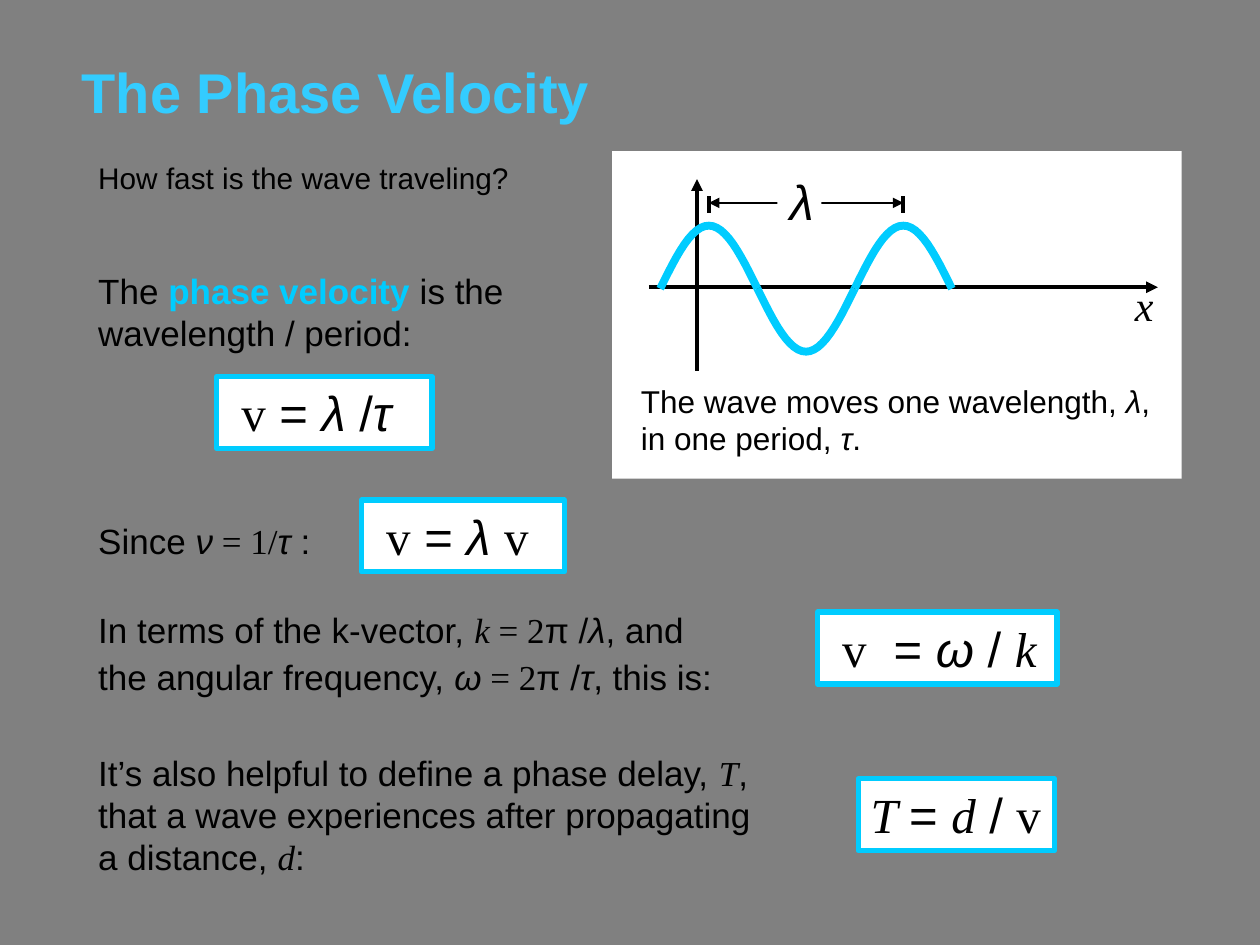
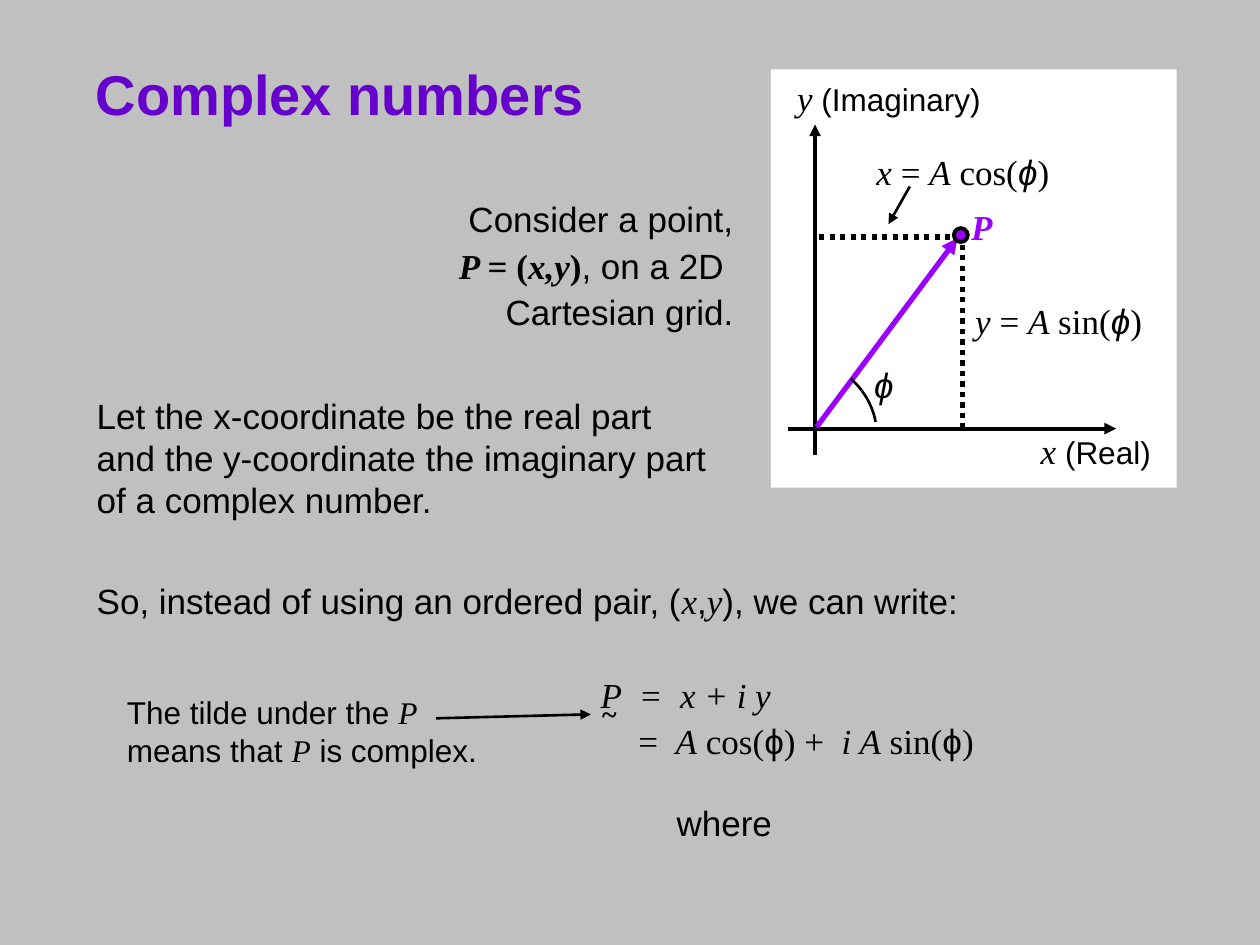
import math
from dataclasses import dataclass
from functools import partial
from typing import NamedTuple, Optional

import pptx
import pptx.dml.color
import pptx.enum.dml
import pptx.enum.shapes
import pptx.enum.text
import pptx.oxml
import pptx.oxml.ns
import pptx.util
from pptx.util import Cm

COLORS = {
    "dark gray": "808080",
    "light gray": "C0C0C0",
    "white": "FFFFFF",
    "black": "000000",
    "sky": "33CCFF",
    "cyan": "00CCFF",
    "indigo": "6600CC",
    "violet": "9900FF",
}
ARIAL = "Arial"
TIMES = "Times New Roman"
SHAPES = pptx.enum.shapes.MSO_SHAPE
ALIGN = pptx.enum.text.PP_ALIGN


class Box(NamedTuple):
    """A frame in centimetres."""
    left: float
    top: float
    width: float
    height: float

    def lengths(self) -> list:
        return [Cm(value) for value in self]


class Run(NamedTuple):
    text: str
    font: str = ARIAL
    bold: bool = False
    italic: bool = False
    color: str = "black"
    size: Optional[float] = None


slanted = partial(Run, italic=True)
serif = partial(Run, font=TIMES)
variable = partial(Run, font=TIMES, italic=True)


@dataclass
class Para:
    runs: list
    before: float = 0
    spacing: Optional[float] = None
    align: int = ALIGN.LEFT
    indent: float = 0


tight = partial(Para, before=5, spacing=0.9)


@dataclass
class Label:
    box: Box
    paragraphs: list
    size: float = 20
    wrap: bool = True
    middle: bool = False
    grow: bool = True


@dataclass
class Line:
    start: tuple
    end: tuple
    width: float = 2.25
    color: str = "black"
    head: bool = False
    tail: bool = False
    dotted: bool = False


def rgb(name: str) -> pptx.dml.color.RGBColor:
    return pptx.dml.color.RGBColor.from_string(COLORS[name])


def write(shape, label: Label) -> None:
    frame = shape.text_frame
    anchors = pptx.enum.text.MSO_ANCHOR
    sizes = pptx.enum.text.MSO_AUTO_SIZE
    frame.word_wrap = label.wrap
    frame.vertical_anchor = anchors.MIDDLE if label.middle else anchors.TOP
    frame.auto_size = sizes.SHAPE_TO_FIT_TEXT if label.grow else sizes.NONE
    for index, para in enumerate(label.paragraphs):
        paragraph = frame.add_paragraph() if index else frame.paragraphs[0]
        paragraph.alignment = para.align
        paragraph.space_before = pptx.util.Pt(para.before)
        paragraph.line_spacing = para.spacing
        if para.indent:
            paragraph._p.get_or_add_pPr().set("marL", str(Cm(para.indent)))
        for part in para.runs:
            for number, piece in enumerate(part.text.split("\n")):
                if number:
                    paragraph.add_line_break()
                if not piece:
                    continue
                run = paragraph.add_run()
                run.text = piece
                run.font.name = part.font
                run.font.size = pptx.util.Pt(part.size or label.size)
                run.font.bold = part.bold
                run.font.italic = part.italic
                run.font.color.rgb = rgb(part.color)


def add_label(slide, label: Label) -> None:
    write(slide.shapes.add_textbox(*label.box.lengths()), label)


def add_block(slide, box: Box, fill: Optional[str] = "white", line: Optional[str] = None,
              width: float = 3, kind=SHAPES.RECTANGLE):
    shape = slide.shapes.add_shape(kind, *box.lengths())
    shape.shadow.inherit = False
    if fill:
        shape.fill.solid()
        shape.fill.fore_color.rgb = rgb(fill)
    else:
        shape.fill.background()
    if line:
        shape.line.color.rgb = rgb(line)
        shape.line.width = pptx.util.Pt(width)
    else:
        shape.line.fill.background()
    return shape


def add_formula(slide, label: Label) -> None:
    write(add_block(slide, label.box, line="cyan"), label)


def add_line(slide, line: Line) -> None:
    points = [Cm(value) for value in (*line.start, *line.end)]
    connector = slide.shapes.add_connector(
        pptx.enum.shapes.MSO_CONNECTOR.STRAIGHT, *points)
    connector.line.color.rgb = rgb(line.color)
    connector.line.width = pptx.util.Pt(line.width)
    if line.dotted:
        connector.line.dash_style = pptx.enum.dml.MSO_LINE.ROUND_DOT
    properties = connector._element.spPr
    outline = properties.find(pptx.oxml.ns.qn("a:ln"))
    for tag, wanted in (("headEnd", line.head), ("tailEnd", line.tail)):
        if wanted:
            outline.append(pptx.oxml.parse_xml(
                f'<a:{tag} {pptx.oxml.ns.nsdecls("a")} type="triangle"/>'))
    properties.append(pptx.oxml.parse_xml(
        f'<a:effectLst {pptx.oxml.ns.nsdecls("a")}/>'))


def add_half_wave(slide, left: float, middle: float, width: float, height: float) -> None:
    """Draw half a sine period; a negative height gives a trough."""
    steps = 24
    points = [(Cm(left + width * step / steps),
               Cm(middle - height * math.sin(math.pi * step / steps)))
              for step in range(steps + 1)]
    builder = slide.shapes.build_freeform(*points[0])
    builder.add_line_segments(points[1:], close=False)
    curve = builder.convert_to_shape()
    curve.shadow.inherit = False
    curve.fill.background()
    curve.line.color.rgb = rgb("cyan")
    curve.line.width = pptx.util.Pt(4.5)


def new_slide(presentation, background: str, title: str, box: Box, color: str):
    slide = presentation.slides.add_slide(presentation.slide_layouts[6])
    slide.background.fill.solid()
    slide.background.fill.fore_color.rgb = rgb(background)
    add_label(slide, Label(box, [Para([Run(title, bold=True, color=color)])],
                           size=32, middle=True, grow=False))
    return slide


def build_phase_velocity(presentation) -> None:
    slide = new_slide(presentation, "dark gray", "The Phase Velocity",
                      Box(1.4, 0.56, 13.54, 2.54), "sky")
    left = 1.73
    add_label(slide, Label(Box(left, 3.1, 9.47, 1.65), [
        Para([Run("How fast is the wave traveling?")], 5)], size=17, grow=False))
    add_label(slide, Label(Box(left, 5.31, 9.04, 1.96), [
        Para([Run("The"), Run(" phase velocity", bold=True, color="cyan"),
              Run(" is the \nwavelength / period:")], 5)]))

    formulas = [
        (7.29, 10.08, 4.09, [serif(" v"), Run(" = "), slanted("λ "), serif("v")]),
        (16.48, 12.34, 4.83, [serif(" v"), Run("  = "), slanted("ω"), Run(" / "),
                              variable("k")]),
        (17.3, 15.7, 3.96, [variable("T "), Run("= "), variable("d"), Run(" / "),
                            serif("v")]),
        (4.37, 7.59, 4.34, [serif(" v"), Run(" = "), slanted("λ "), Run("/"),
                            slanted("τ")]),
    ]
    for x, y, width, runs in formulas:
        add_formula(slide, Label(Box(x, y, width, 1.45), [Para(runs)], size=28, wrap=False))

    add_block(slide, Box(12.34, 3.05, 11.48, 6.6))
    wave_left, axis_y, half_wave, amplitude = 13.31, 5.82, 1.96, 1.27
    crests = [wave_left + half_wave * count for count in (0.5, 2.5)]
    add_line(slide, Line((13.08, 5.79), (23.34, 5.79), tail=True))
    add_label(slide, Label(Box(22.63, 5.51, 0.94, 1.27), [Para([variable("x")], 15)], size=24))
    add_line(slide, Line((14.05, 7.47), (14.05, 3.61), tail=True))
    add_line(slide, Line((crests[0], 4.09), (crests[1], 4.09), 1.5, head=True, tail=True))
    write(add_block(slide, Box(15.67, 3.33, 0.89, 1.45)),
          Label(Box(15.67, 3.33, 0.89, 1.45), [Para([slanted("λ")], 17.5)], size=28))
    for crest in crests:
        add_line(slide, Line((crest, 3.96), (crest, 4.29)))
    add_label(slide, Label(Box(12.67, 7.57, 10.87, 1.78), [
        Para([Run("The wave moves one wavelength, "), slanted("λ"),
              Run(", in one period, "), slanted("τ"), Run(".")], 11.2)], size=18))
    for index in range(3):
        add_half_wave(slide, wave_left + index * half_wave, axis_y, half_wave,
                      amplitude * (-1) ** index)

    add_label(slide, Label(Box(left, 10.34, 5.54, 1.12), [
        Para([Run("Since "), slanted("ν"), serif(" = 1/"), slanted("τ "), Run(":")], 12.5)]))
    add_label(slide, Label(Box(left, 12.24, 14.55, 5.61), [
        tight([Run("In terms of the k-vector, "), variable("k"), serif(" = 2"),
               Run("π /"), slanted("λ"), Run(", and")]),
        tight([Run("the angular frequency, "), slanted("ω"), serif(" = 2"),
               Run("π /"), slanted("τ"), Run(", this is:")]),
        Para([Run("It’s also helpful to define a phase delay, "), variable("T"),
              Run(", \nthat a wave experiences after propagating \na distance, "),
              variable("d"), Run(":")], 31)]))


def build_complex_numbers(presentation) -> None:
    slide = new_slide(presentation, "light gray", "Complex numbers",
                      Box(1.68, 1.14, 11.18, 1.47), "indigo")
    left = 1.7
    add_label(slide, Label(Box(left, 11.66, 18.92, 1.04), [
        tight([Run("So, instead of using an ordered pair, ("), variable("x"), Run(","),
               variable("y"), Run("), we can write:")])], grow=False))
    point_lines = [
        [Run("Consider a point,")],
        [variable("P ", bold=True), serif("= (", bold=True), variable("x,y", bold=True),
         serif(")", bold=True), Run(", on a 2D ")],
        [Run("Cartesian grid.")],
    ]
    add_label(slide, Label(Box(8.94, 3.96, 6.1, 2.9), [
        tight(runs, align=ALIGN.RIGHT) for runs in point_lines], wrap=False))
    add_label(slide, Label(Box(left, 7.82, 13.34, 2.79), [
        Para([Run(text)]) for text in ("Let the x-coordinate be the real part",
                                       "and the y-coordinate the imaginary part",
                                       "of a complex number.")]))

    add_label(slide, Label(Box(11.89, 13.92, 1.27, 0.94),
                           [Para([serif("~", bold=True)], 10)], size=16))
    add_label(slide, Label(Box(2.31, 13.84, 9.83, 1.78), [
        Para([Run("The tilde under the "), variable("P \n"), Run("means that "),
              variable("P"), Run(" is complex.")], 11.2)], size=18))
    add_line(slide, Line((8.79, 14.48), (11.91, 14.4), 1.5, tail=True))
    add_label(slide, Label(Box(13.39, 16.03, 7.42, 1.12), [Para([Run("where")], 12.5)]))
    add_label(slide, Label(Box(11.86, 13.54, 9.42, 1.96), [
        tight([variable("P  =  x + i y")]),
        tight([serif("=  "), variable("A"), serif(" cos("), Run("ϕ"), serif(") +  "),
               variable("i A"), serif(" sin("), Run("ϕ"), serif(")")], indent=0.76)]))

    add_block(slide, Box(15.54, 1.4, 8.18, 8.43))
    grid_lines = [
        Line((15.88, 8.64), (22.5, 8.64), tail=True),
        Line((16.43, 9.17), (16.43, 2.51), tail=True),
        Line((16.46, 8.61), (19.3, 4.8), 3, "violet", tail=True),
        Line((19.41, 4.72), (19.41, 8.61), 3, dotted=True),
        Line((16.51, 4.78), (19.41, 4.78), 3, dotted=True),
        Line((18.34, 3.76), (17.91, 4.52), 1.5, tail=True),
    ]
    for line in grid_lines:
        add_line(slide, line)

    angle = add_block(slide, Box(14.73, 7.26, 3, 2.59), None, "black", 1.5, SHAPES.ARC)
    angle.rotation = 33.1
    for index, degrees in enumerate((281.9, 324.9)):
        angle.adjustments[index] = degrees * 0.6

    def projection(name: str, function: str) -> list:
        return [variable(name), serif(" = "), variable("A"), serif(f" {function}("),
                slanted("ϕ"), serif(")")]

    grid_labels = [
        (15.82, 1.42, 5.31, 11.2, [variable("y"), Run(" (Imaginary)", size=18)]),
        (20.73, 8.53, 2.84, 11.2, [variable("x "), Run("(Real)", size=18)]),
        (19.33, 4.01, 1.47, 12.5, [variable("P", bold=True, color="violet")]),
        (19.41, 5.92, 3.94, 12.5, projection("y", "sin")),
        (17.42, 2.9, 4.39, 12.5, projection("x", "cos")),
        (17.37, 7.21, 1.12, 12.5, [slanted("ϕ")]),
    ]
    for x, y, width, before, runs in grid_labels:
        add_label(slide, Label(Box(x, y, width, 1.12), [Para(runs, before)]))
    add_block(slide, Box(19.23, 4.6, 0.28, 0.28), "violet", "black", 2.25, SHAPES.OVAL)


def main() -> None:
    presentation = pptx.Presentation()
    presentation.slide_width, presentation.slide_height = Cm(25.4), Cm(19.05)
    build_phase_velocity(presentation)
    build_complex_numbers(presentation)
    presentation.save("out.pptx")


if __name__ == "__main__":
    main()
